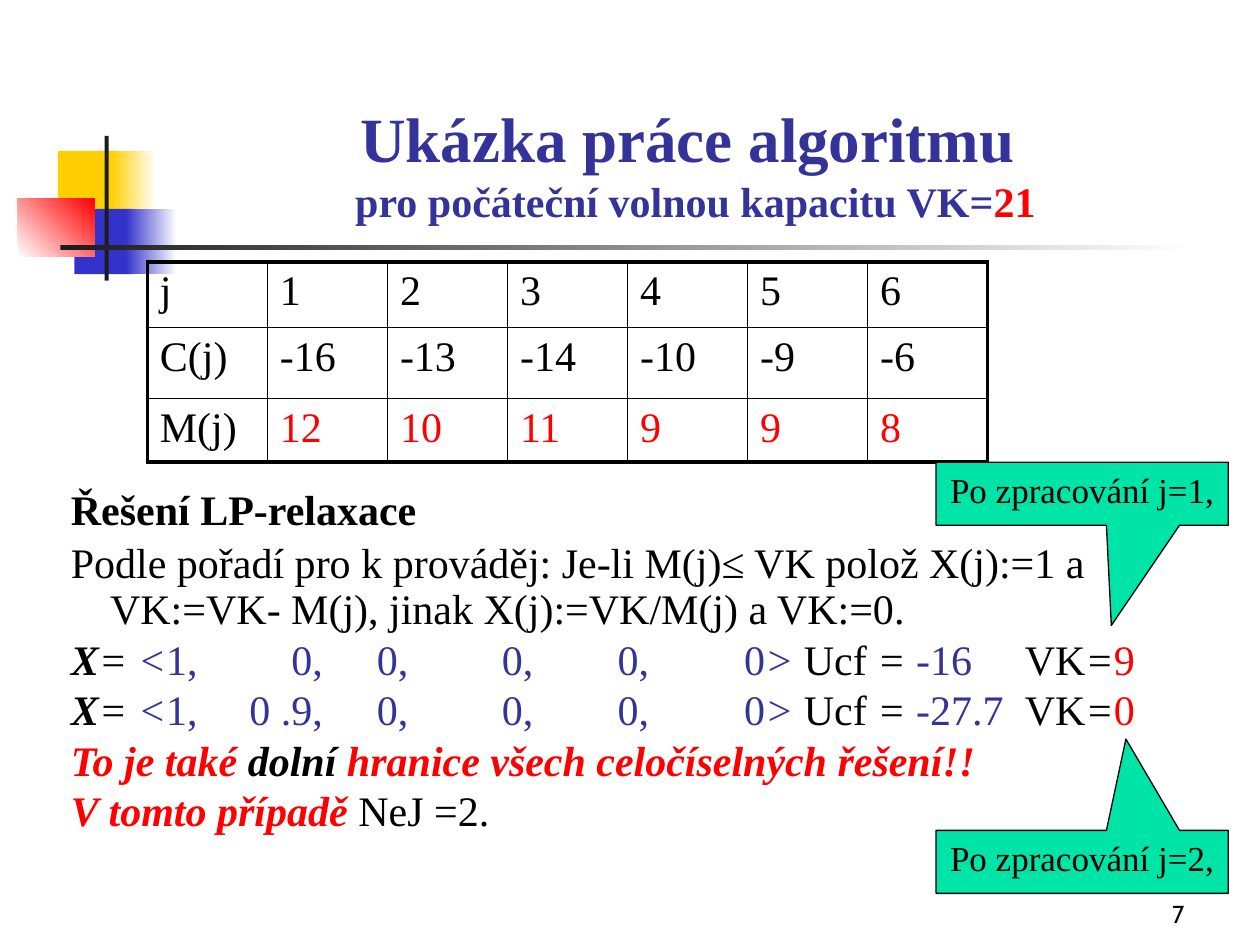
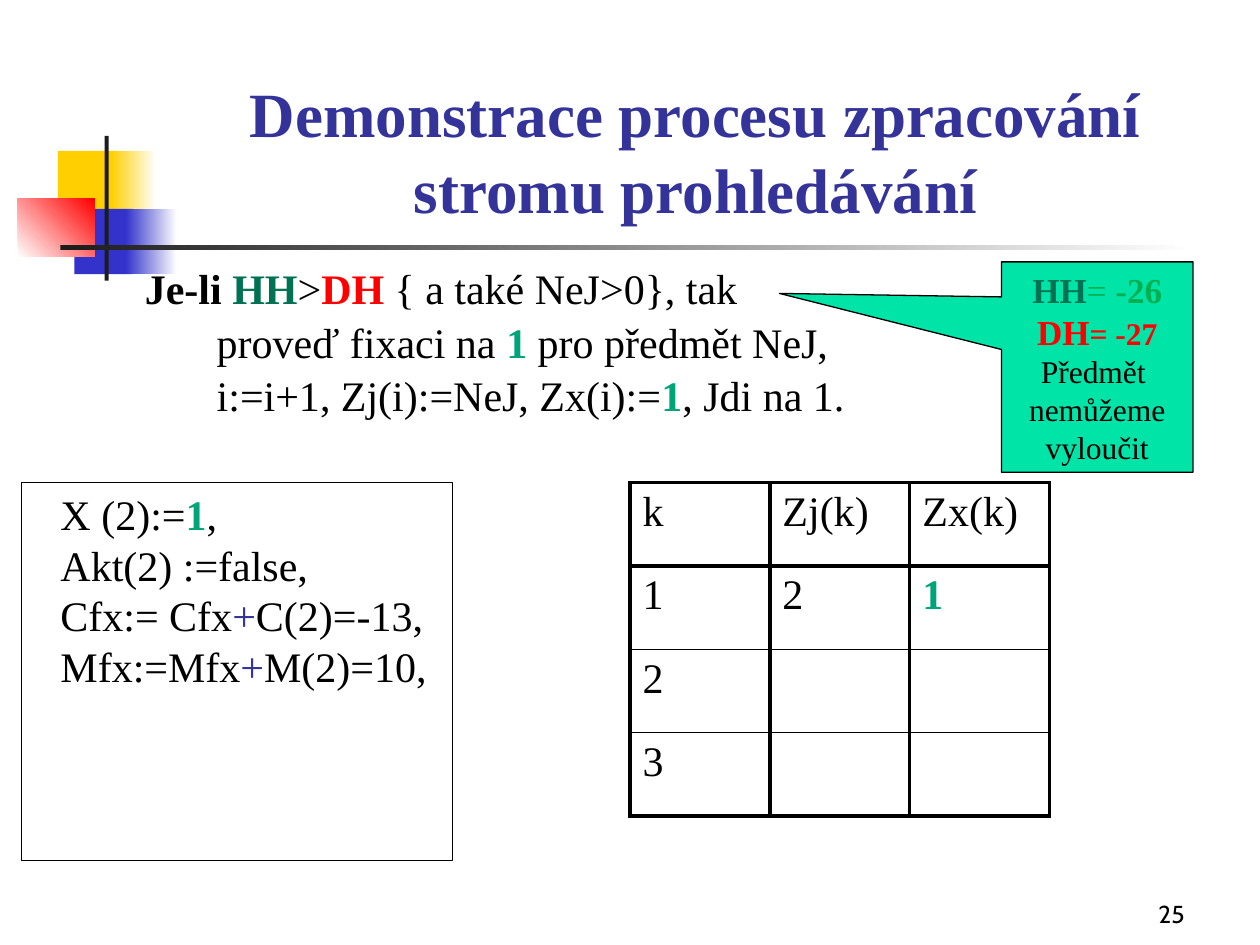
from lxml import etree
from pptx import Presentation
from pptx import util as u
from pptx.dml.color import RGBColor
from pptx.enum import shapes, text
from pptx.oxml.ns import qn

BLACK = RGBColor(0, 0, 0)
WHITE = RGBColor(255, 255, 255)
RED = RGBColor(255, 0, 0)
NAVY = RGBColor(0x33, 0x33, 0x99)
BLUE = RGBColor(0x33, 0x33, 0xCC)
YELLOW = RGBColor(0xFF, 0xCF, 0x01)
CHARCOAL = RGBColor(0x1C, 0x1C, 0x1C)
MINT = RGBColor(0x00, 0xE4, 0xA8)
PINE = RGBColor(0x00, 0x72, 0x54)
TEAL = RGBColor(0x00, 0xA4, 0x79)
GREEN = RGBColor(0x00, 0xB0, 0x50)

SERIF, SANS = "Times New Roman", "Cabin"
THICK, THIN = u.Pt(2.25), u.Pt(1)
INSET = 0.79
HANGING = dict(marL=u.Cm(INSET), indent=-u.Cm(INSET))
SPACED = dict(line_spacing=0.9, space_before=u.Pt(4.8))

BOLD = dict(bold=True)
ITALIC = dict(italic=True)
ON_NAVY = dict(color=NAVY)
ON_RED = dict(color=RED)
ONE = ("1", dict(color=TEAL, bold=True))


def cm(box):
    return [u.Cm(v) for v in box]


def set_attrs(obj, values):
    for name, value in values.items():
        setattr(obj, name, value)


def add_runs(p, runs, size=24, font=SERIF, color=BLACK, bold=False):
    """Runs are plain strings or (string, format) pairs; a newline is a line break."""
    for item in runs:
        words, fmt = (item, {}) if isinstance(item, str) else item
        fmt = dict(name=font, size=size, color=color, bold=bold) | fmt
        rgb, points = fmt.pop("color"), fmt.pop("size")
        for i, line in enumerate(words.split("\n")):
            if i:
                p.add_line_break()
            r = p.add_run()
            r.text = line
            set_attrs(r.font, fmt | dict(size=u.Pt(points)))
            r.font.color.rgb = rgb


def add_paragraphs(tf, paragraphs, align=text.PP_ALIGN.LEFT, **style):
    """Each paragraph is (runs, paragraph format, indents)."""
    for i, (runs, fmt, indents) in enumerate(paragraphs):
        p = tf.add_paragraph() if i else tf.paragraphs[0]
        set_attrs(p, dict(alignment=align) | fmt)
        for name, value in indents.items():
            p._p.get_or_add_pPr().set(name, str(int(value)))
        add_runs(p, runs, **style)


def add_text(s, box, paragraphs, frame=None, **style):
    tf = s.shapes.add_textbox(*cm(box)).text_frame
    set_attrs(tf, dict(word_wrap=True) | (frame or {}))
    add_paragraphs(tf, paragraphs, **style)
    return tf


def add_block(s, kind, box, fill=None, line=None):
    sp = s.shapes.add_shape(kind, *cm(box))
    sp.shadow.inherit = False
    if fill is None:
        sp.fill.background()
    else:
        sp.fill.solid()
        sp.fill.fore_color.rgb = fill
    if line is None:
        sp.line.fill.background()
    else:
        sp.line.color.rgb = line
        sp.line.width = u.Pt(0.75)
    return sp


def add_motif(s, left=0.36, top=2.74):
    """Coloured squares and the crossed lines beside the title."""
    parts = [
        ((0.81, 0.3, 1.22, 1.32), YELLOW, None, 0),
        ((1.88, 0.3, 0.91, 1.32), YELLOW, WHITE, 0),
        ((1.14, 1.47, 1.17, 1.32), BLUE, None, 0),
        ((2.18, 1.47, 1.02, 1.32), BLUE, WHITE, 0),
        ((0, 1.27, 1.55, 1.17), WHITE, RED, 45),
        ((1.75, 0, 0.08, 2.92), CHARCOAL, None, 0),
        ((0.86, 2.2, 22.86, 0.1), CHARCOAL, WHITE, 0),
    ]
    for (x, y, w, h), start, end, angle in parts:
        sp = add_block(s, shapes.MSO_SHAPE.RECTANGLE, (left + x, top + y, w, h), start)
        if end is not None:
            sp.fill.gradient()
            sp.fill.gradient_angle = angle
            for stop, rgb in zip(sp.fill.gradient_stops, (start, end)):
                stop.color.rgb = rgb


def add_base_slide(prs, title, number):
    s = prs.slides.add_slide(prs.slide_layouts[6])
    add_motif(s)
    bottom = dict(vertical_anchor=text.MSO_ANCHOR.BOTTOM)
    add_text(s, (18.85, 17.58, 5.28, 1.27), [([number], {}, {})], bottom,
             align=text.PP_ALIGN.RIGHT, size=14, font=SANS)
    add_text(s, (3.2, 1.07, 21.64, 3.61), [(title, {}, {})], bottom,
             align=text.PP_ALIGN.CENTER, size=36, color=NAVY, bold=True)
    return s


def add_callout(s, box, tip, lines):
    sp = add_block(s, shapes.MSO_SHAPE.RECTANGULAR_CALLOUT, box, MINT, BLACK)
    for i, value in enumerate(tip):
        sp.adjustments[i] = value
    set_attrs(sp.text_frame, dict(word_wrap=False, vertical_anchor=text.MSO_ANCHOR.TOP))
    add_paragraphs(sp.text_frame, [(runs, {}, {}) for runs in lines],
                   align=text.PP_ALIGN.CENTER, size=20)


def set_borders(cell, widths):
    tcPr = cell._tc.get_or_add_tcPr()
    for side, width in zip("LRTB", widths):
        ln = etree.SubElement(tcPr, qn(f"a:ln{side}"), w=str(int(width)))
        fill = etree.SubElement(ln, qn("a:solidFill"))
        etree.SubElement(fill, qn("a:srgbClr"), val=str(BLACK))


def add_grid(s, left, top, col_width, heights, rows, column_line, header_line):
    """Table with a thick frame; the inner line widths are given."""
    n_rows, n_cols = len(rows), len(rows[0])
    frame = s.shapes.add_table(n_rows, n_cols, *cm((left, top, col_width * n_cols, sum(heights))))
    table = frame.table
    set_attrs(table, dict(first_row=False, horz_banding=False))
    v_lines = [THICK] + [column_line] * (n_cols - 1) + [THICK]
    h_lines = [THICK, header_line] + [THIN] * (n_rows - 2) + [THICK]
    for col in table.columns:
        col.width = u.Cm(col_width)
    for i, (row, height) in enumerate(zip(rows, heights)):
        table.rows[i].height = u.Cm(height)
        for j, item in enumerate(row):
            cell = table.cell(i, j)
            set_borders(cell, v_lines[j:j + 2] + h_lines[i:i + 2])
            cell.fill.background()
            if item:
                add_runs(cell.text_frame.paragraphs[0], [item])


def add_tab_stops(p, stops):
    tabs = etree.SubElement(p._p.get_or_add_pPr(), qn("a:tabLst"))
    for position, side in stops:
        etree.SubElement(tabs, qn("a:tab"), pos=str(int(u.Cm(position))), algn=side)


def solution_row(second, cost, capacity):
    return [("X", BOLD | ITALIC), ("= ", ITALIC), ("<", ON_NAVY | ITALIC),
            (f"1,\t{second},\t0,\t0,\t0,\t0", ON_NAVY), ("> ", ON_NAVY | ITALIC),
            "Ucf ", ("= ", ITALIC), (f"{cost}\t", ON_NAVY), "VK", ("=", ITALIC),
            (capacity, ON_RED)]


def add_relaxation(s, box):
    emphasis = ON_RED | BOLD | ITALIC
    tf = add_text(s, box, [
        ([("Řešení LP-relaxace", BOLD)], SPACED, {}),
        (["Podle pořadí pro k prováděj: Je-li M(j)≤ VK polož X(j):=1 a "
          "VK:=VK- M(j), jinak X(j):=VK/M(j) a VK:=0."], SPACED, HANGING),
        (solution_row("0", "-16", "9"), {}, {}),
        (solution_row("0 .9", "-27.7", "0"), {}, {}),
        ([("To je také ", emphasis), ("dolní", BOLD | ITALIC),
          (" hranice všech celočíselných řešení!!", emphasis)], {}, {}),
        ([("V tomto případě ", emphasis), "NeJ =2."], {}, {}),
    ], dict(margin_left=u.Cm(INSET)))
    stops = [(5.08, "r"), (6.17, "l"), (8.69, "l"), (11.02, "l"), (13.57, "l"), (19.23, "l")]
    for p in tf.paragraphs[2:4]:
        add_tab_stops(p, stops)


def add_rule(s, box):
    """The condition and, indented below it, the steps it leads to."""
    deep = dict(marL=u.Cm(3.48), indent=0)
    add_text(s, box, [
        ([("Je-li ", BOLD), ("HH", BOLD | dict(color=PINE)), ">", ("DH", BOLD | ON_RED),
          " { a také NeJ>0}, tak"], SPACED, dict(marL=u.Cm(2.03), indent=0)),
        (["proveď fixaci na ", ONE, " pro předmět NeJ,"], SPACED, deep),
        (["i:=i+1, Zj(i):=NeJ, Zx(i):=", ONE, ", Jdi na 1."], SPACED, deep),
    ])


def add_assignments(s, box):
    sp = add_block(s, shapes.MSO_SHAPE.RECTANGLE, box, line=BLACK)
    set_attrs(sp.text_frame, dict(word_wrap=True, margin_left=u.Cm(1.04 - 0.25 + 0.22 - 0.22),
                                  vertical_anchor=text.MSO_ANCHOR.TOP))
    plus = ("+", ON_NAVY)
    lines = [["X (2):=", ONE, ","], ["Akt(2) :=false,"],
             ["Cfx:= Cfx", plus, "C(2)=-13,"], ["Mfx:=Mfx", plus, "M(2)=10,"]]
    add_paragraphs(sp.text_frame, [(runs, {}, {}) for runs in lines])


def build_example(prs):
    s = add_base_slide(prs, ["Ukázka práce algoritmu \n",
                             ("pro počáteční volnou kapacitu VK=", dict(size=24)),
                             ("21", dict(size=24, color=RED))], "7")
    add_relaxation(s, (0.64, 9.73, 24.13, 8.26))
    add_grid(s, 2.97, 5.28, 2.42, [1.32, 1.43, 1.28], [
        ["j", "1", "2", "3", "4", "5", "6"],
        ["C(j)", "-16", "-13", "-14", "-10", "-9", "-6"],
        ["M(j)"] + [(m, ON_RED) for m in ("12", "10", "11", "9", "9", "8")],
    ], column_line=THIN, header_line=THIN)
    for step, top, tip in ((1, 9.32, (0.1, 2.09)), (2, 16.74, (0.15, -1.95))):
        add_callout(s, (18.87, top, 5.89, 1.27), tip, [[f"Po zpracování j={step},"]])


def build_search_tree(prs):
    s = add_base_slide(prs, ["Demonstrace procesu zpracování stromu prohledávání"], "25")
    add_rule(s, (0.64, 5.28, 17.07, 3.61))
    add_assignments(s, (0.43, 9.73, 8.69, 7.62))
    add_grid(s, 12.7, 9.73, 2.82, [1.68] * 4, [
        ["k", "Zj(k)", "Zx(k)"], ["1", "2", ONE], ["2", "", ""], ["3", "", ""],
    ], column_line=THICK, header_line=THICK)
    small = dict(size=18)
    add_callout(s, (20.19, 5.28, 3.86, 4.24), (-1.66, -0.35), [
        [("HH", BOLD | dict(color=PINE)), ("= ", dict(color=GREEN)),
         ("-26", BOLD | dict(color=GREEN))],
        [("DH", BOLD | ON_RED), ("= -27", BOLD | ON_RED | small)],
        [("Předmět \nnemůžeme", small)],
        [("vyloučit", small)],
    ])


def main():
    prs = Presentation()
    prs.slide_width, prs.slide_height = u.Cm(25.4), u.Cm(19.05)
    build_example(prs)
    build_search_tree(prs)
    prs.save("out.pptx")


if __name__ == "__main__":
    main()
